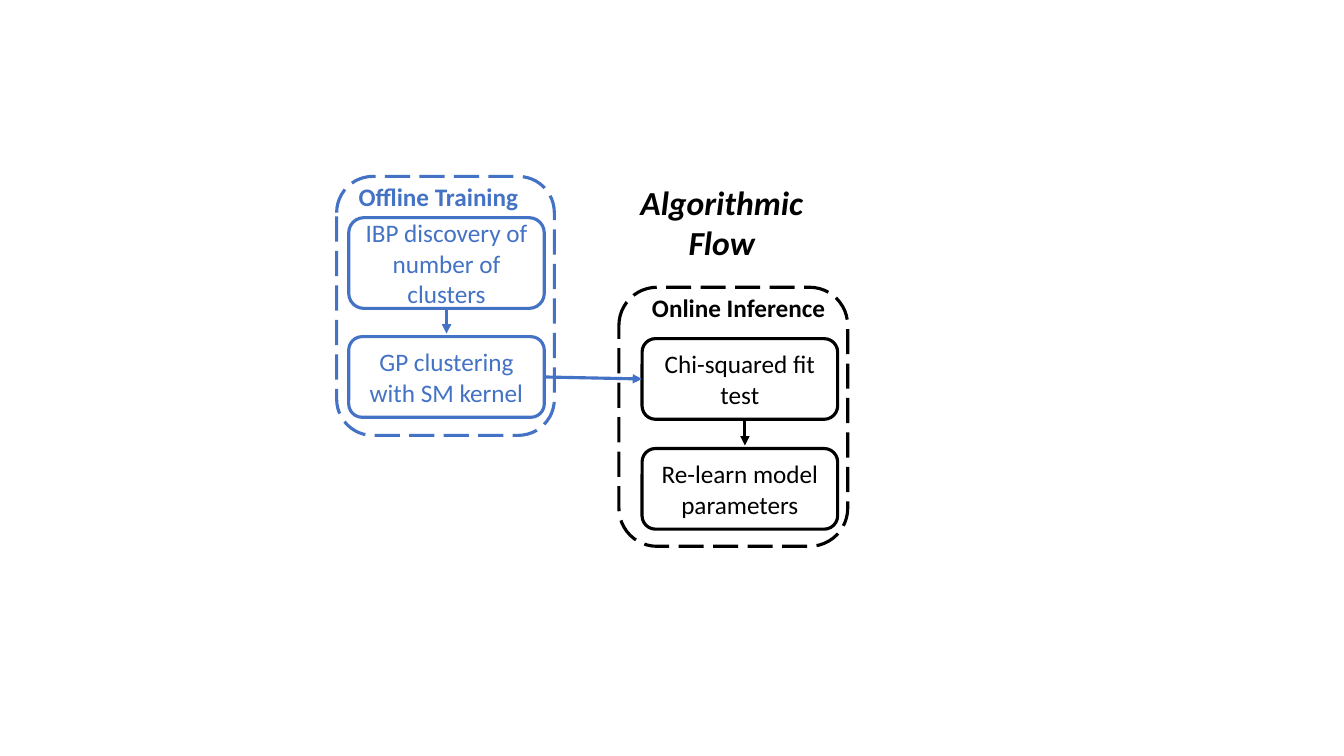
from pptx import Presentation
from pptx.dml.color import RGBColor
from pptx.enum.dml import MSO_LINE
from pptx.enum.shapes import MSO_CONNECTOR, MSO_SHAPE
from pptx.enum.text import MSO_ANCHOR, MSO_AUTO_SIZE, PP_ALIGN
from pptx.oxml.ns import qn
from pptx.util import Inches, Pt

ROUND, LINE = MSO_SHAPE.ROUNDED_RECTANGLE, MSO_CONNECTOR.STRAIGHT
DASH, GROW = MSO_LINE.LONG_DASH, MSO_AUTO_SIZE.SHAPE_TO_FIT_TEXT
TOP, MID = MSO_ANCHOR.TOP, MSO_ANCHOR.MIDDLE
LEFT, CENTER = PP_ALIGN.LEFT, PP_ALIGN.CENTER

# Content: lengths are in grid cells, ten to the inch
COLS, ROWS = 133.33, 75
BLUE, BLACK = "4472C4", "000000"
TITLE = ("Algorithmic Flow", (61.4, 17.5, 20.4, 9.1))
STEP_W, HEAD_W, HEAD_H, FRAME_H = 19.4, 20.4, 4, 25.7
PHASES = [
    dict(head="Offline Training", hue=BLUE, left=33.4, top=17.5, wide=21.6,
         inset=1.2, shift=0, gap=2.5,
         steps=[("IBP discovery of number of clusters", 4.1, 9),
                ("GP clustering with SM kernel", 15.9, 8)]),
    dict(head="Online Inference", hue=BLACK, left=61.4, top=28.5, wide=22.7,
         inset=2.3, shift=0.5, gap=2.6,
         steps=[("Chi-squared fit test", 5.1, 8),
                ("Re-learn model parameters", 16, 8)]),
]


def cell(n):
    return Inches(n / 10)


def color(code):
    return RGBColor.from_string(code)


def write(shape, text, hue, align, anchor, size=18, **style):
    frame = shape.text_frame
    frame.word_wrap, frame.vertical_anchor = True, anchor
    para = frame.paragraphs[0]
    para.alignment = align
    run = para.add_run()
    run.text = text
    look = dict(name="Calibri", size=Pt(size), **style)
    for key, value in look.items():
        setattr(run.font, key, value)
    run.font.color.rgb = color(hue)


def box(area, hue, dash=None):
    shape = slide.shapes.add_shape(ROUND, *map(cell, area))
    shape.shadow.inherit = False
    shape.fill.background()
    shape.line.color.rgb = color(hue)
    shape.line.width = Pt(2.25)
    if dash:
        shape.line.dash_style = dash
    return shape


def arrow(start, end, hue):
    link = slide.shapes.add_connector(LINE, *map(cell, start + end))
    link.line.color.rgb = color(hue)
    link.line.width = Pt(2.25)
    props = link._element.spPr
    tip = props.find(qn("a:ln")).makeelement(qn("a:tailEnd"), {"type": "triangle"})
    props.find(qn("a:ln")).append(tip)
    props.append(props.makeelement(qn("a:effectLst"), {}))


deck = Presentation()
deck.slide_width, deck.slide_height = cell(COLS), cell(ROWS)
slide = deck.slides.add_slide(deck.slide_layouts[5])

# Title
title = slide.shapes.title
text, area = TITLE
for key, value in zip(("left", "top", "width", "height"), area):
    setattr(title, key, cell(value))
write(title, text, BLACK, CENTER, TOP, 24, bold=True, italic=True)
title.text_frame.auto_size = GROW

# Phases: steps, heading, arrow between steps, dashed frame
sides = []
for phase in PHASES:
    hue, top = phase["hue"], phase["top"]
    left = phase["left"] + phase["inset"]
    for label, down, high in phase["steps"]:
        step = box((left, top + down, STEP_W, high), hue)
        write(step, label, hue, CENTER, MID)
        sides.append((left, top + down + high / 2))

    head = slide.shapes.add_textbox(*map(cell, (left, top, HEAD_W, HEAD_H)))
    write(head, phase["head"], hue, LEFT, TOP, bold=True)
    head.text_frame.auto_size = GROW

    _, down, high = phase["steps"][0]
    mid, base = left + STEP_W / 2 + phase["shift"], top + down + high
    arrow((mid, base), (mid, base + phase["gap"]), hue)
    box((phase["left"], top, phase["wide"], FRAME_H), hue, DASH)

# Link from the last offline step to the first online step
(x, y), end = sides[1:3]
arrow((x + STEP_W, y), end, BLUE)

deck.save("out.pptx")
